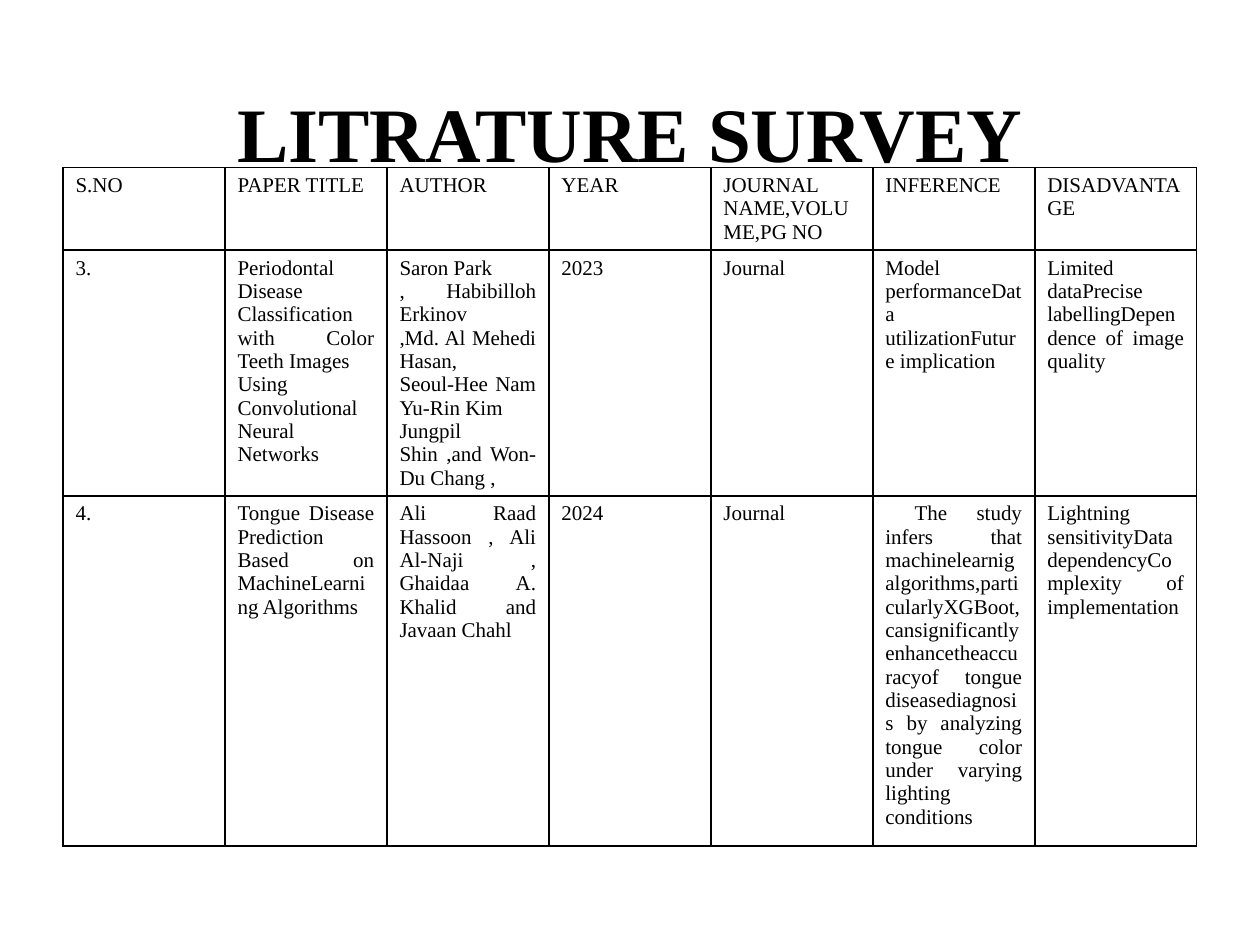
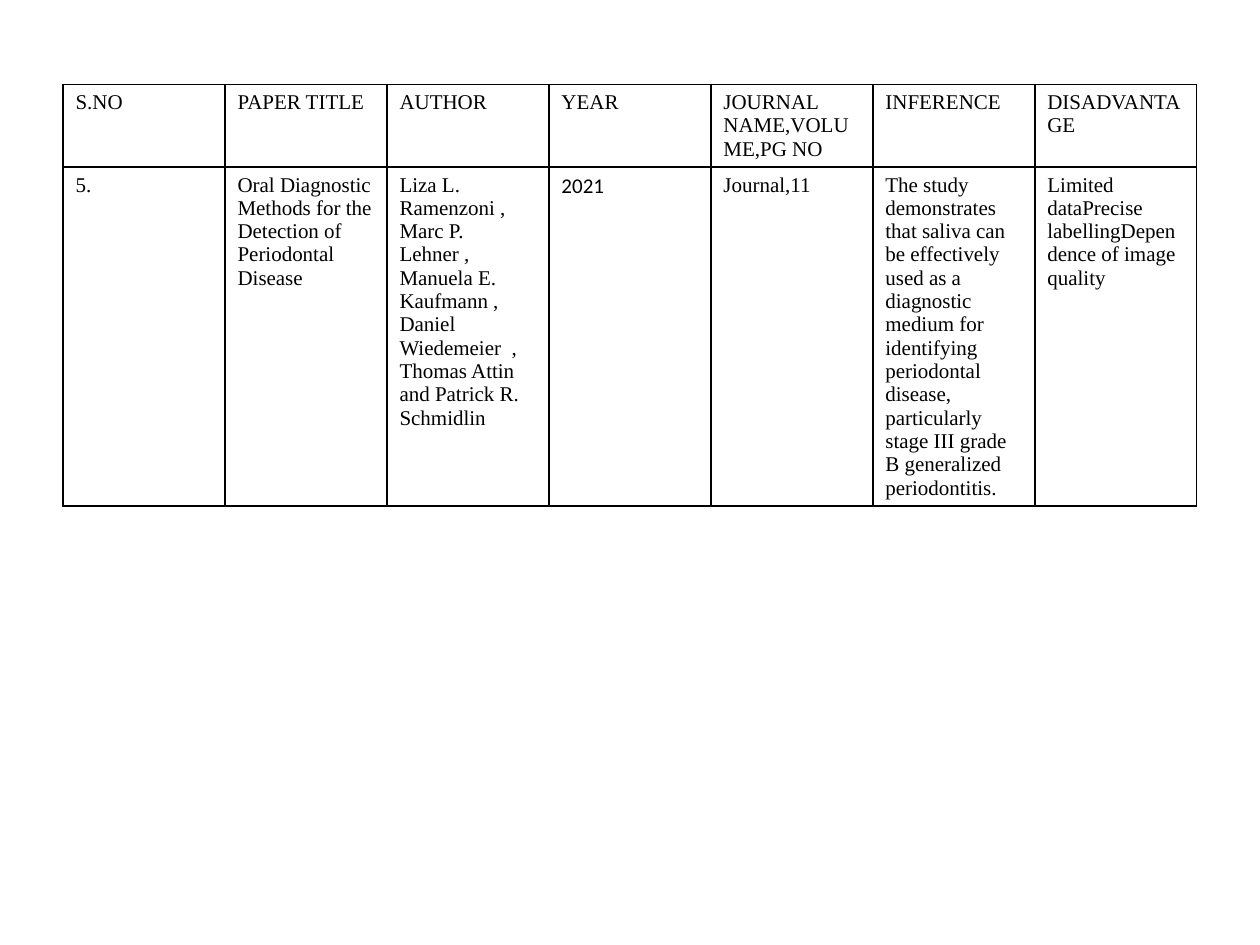
from lxml.etree import SubElement as Sub
from pptx import Presentation
from pptx.dml.color import RGBColor as RGB
from pptx.enum.text import MSO_ANCHOR as Anchor, PP_ALIGN as Align
from pptx.oxml.ns import qn
from pptx.util import Inches, Pt

INK = {"text": "000000", "line": "000000"}
FONT = "Times New Roman"
LEFT, WIDTH = Inches(0.5), Inches(9)
HEADS = ["S.NO", "PAPER TITLE", "AUTHOR", "YEAR", "JOURNAL NAME,VOLUME,PG NO",
         "INFERENCE", "DISADVANTAGE"]
LIMITS = "Limited dataPrecise labellingDependence of image quality"

PAPERS = [
    ["3.",
     "Periodontal Disease Classification with Color Teeth Images\n"
     "Using Convolutional Neural Networks",
     "Saron Park\n, Habibilloh Erkinov\n,Md. Al Mehedi Hasan,\n"
     "Seoul-Hee Nam Yu-Rin Kim\nJungpil Shin ,and Won-Du Chang ,",
     "2023", "Journal",
     "Model performanceData utilizationFuture implication",
     LIMITS],
    ["4.",
     "Tongue Disease Prediction Based on MachineLearning Algorithms",
     "Ali Raad Hassoon , Ali Al-Naji  , Ghaidaa A. Khalid and Javaan Chahl",
     "2024", "Journal",
     " The study infers that machinelearnig algorithms,particularlyXGBoot, "
     "cansignificantly enhancetheaccuracyof tongue diseasediagnosis by "
     "analyzing tongue color under varying lighting conditions",
     "Lightning sensitivityData dependencyComplexity of implementation"],
    ["5.",
     "Oral Diagnostic Methods for the Detection of\vPeriodontal Disease",
     "Liza L. Ramenzoni , Marc P. Lehner , Manuela E. Kaufmann , "
     "Daniel Wiedemeier  , Thomas Attin \vand Patrick R. Schmidlin",
     "2021", "Journal,11",
     "The study demonstrates that saliva can be effectively used as a "
     "diagnostic medium for identifying periodontal disease, particularly "
     "stage III grade B generalized periodontitis.",
     LIMITS],
]


def style(frame, size, align, bold=False):
    for par in frame.paragraphs:
        par.alignment = align
        for run in par.runs:
            run.font.name = FONT
            run.font.size = Pt(size)
            run.font.bold = bold
            run.font.color.rgb = RGB.from_string(INK["text"])


def survey(slide, top, heights, papers, align):
    """Add a ruled table of papers under the shared heads; return the table."""
    rows = [HEADS] + papers
    table = slide.shapes.add_table(len(rows), len(HEADS), LEFT, Inches(top),
                                   WIDTH, Inches(sum(heights))).table
    table.first_row = table.horz_banding = False
    for r, texts in enumerate(rows):
        table.rows[r].height = Inches(heights[r])
        for c, text in enumerate(texts):
            cell = table.cell(r, c)
            cell.text_frame.text = text
            style(cell.text_frame, 12, align if r else Align.JUSTIFY)
            props = cell._tc.get_or_add_tcPr()
            for side in ("lnL", "lnR", "lnT", "lnB"):
                line = Sub(props, qn(f"a:{side}"), w=str(Pt(1)))
                fill = Sub(line, qn("a:solidFill"))
                Sub(fill, qn("a:srgbClr"), val=INK["line"])
            cell.fill.background()
    return table


deck = Presentation()
deck.slide_width, deck.slide_height = Inches(10), Inches(7.5)

# Survey with title
slide = deck.slides.add_slide(deck.slide_layouts[5])
title = slide.shapes.title
title.left, title.top = LEFT, Inches(0.42)
title.width, title.height = WIDTH, Inches(1.25)
title.text_frame.text = "LITRATURE SURVEY"
title.text_frame.vertical_anchor = Anchor.MIDDLE
style(title.text_frame, 44, Align.CENTER, bold=True)
survey(slide, 1.33, [0.41, 0.41, 2.78], PAPERS[:2], Align.JUSTIFY)

# Survey continued
slide = deck.slides.add_slide(deck.slide_layouts[6])
table = survey(slide, 0.67, [0.58, 0.98], PAPERS[2:], Align.LEFT)
year = table.cell(1, HEADS.index("YEAR"))
year.text_frame.paragraphs[0].runs[0].font.name = "Calibri"

deck.save("out.pptx")
